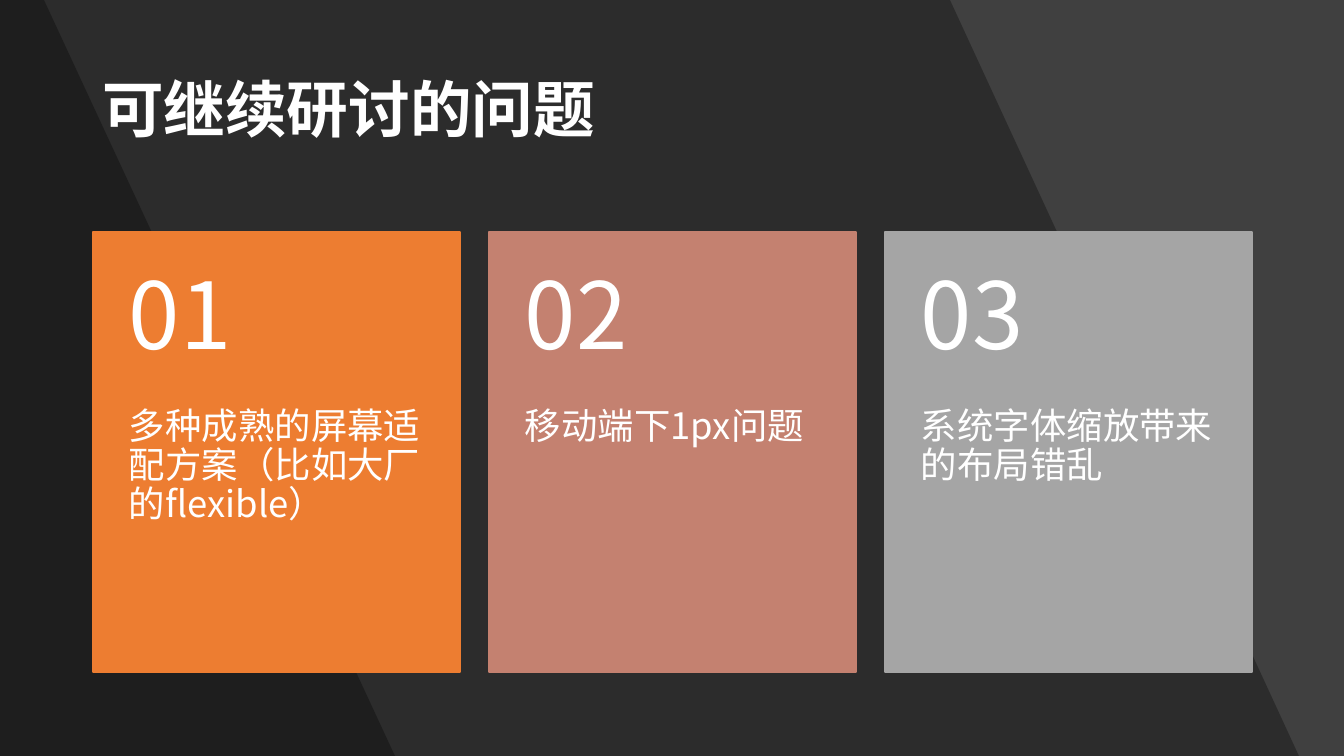
from lxml.etree import SubElement
from pptx import Presentation
from pptx.dml.color import RGBColor as RGB
from pptx.enum.shapes import MSO_SHAPE as Shape
from pptx.enum.text import MSO_ANCHOR as Anchor, MSO_AUTO_SIZE as Fit, PP_ALIGN as Align
from pptx.oxml.ns import qn
from pptx.util import Pt

WHITE = RGB(0xFF, 0xFF, 0xFF)
BLACK = RGB(0, 0, 0)
GREY = RGB(0x40, 0x40, 0x40)
ORANGE = RGB(0xED, 0x7D, 0x31)
ROSE = RGB(0xC4, 0x81, 0x70)
SILVER = RGB(0xA5, 0xA5, 0xA5)
FONT = "Noto Sans CJK SC"

TITLE = "可继续研讨的问题"
CARDS = [
    ("多种成熟的屏幕适配方案（比如大厂的flexible）", ORANGE),
    ("移动端下1px问题", ROSE),
    ("系统字体缩放带来的布局错乱", SILVER),
]
BANDS = [(950, 1299), (44, 395)]  # right edge at top and at bottom

WIDE, HIGH = 1344, 756
LEFT, TOP, STEP = 93, 232, 396
CARD_W, HEAD_H, BODY_H = 367, 176, 264
PAD = 36
SCALE = 12192000 / WIDE


def px(*sizes):
    return [round(size * SCALE) for size in sizes]


def write(shape, text, size, anchor, bold=False):
    frame = shape.text_frame
    frame.word_wrap = True
    frame.auto_size = Fit.NONE
    frame.vertical_anchor = anchor
    para = frame.paragraphs[0]
    para.text = text
    para.alignment = Align.LEFT
    para.line_spacing = 0.9
    font = para.font
    font.size = Pt(size)
    font.bold = bold
    font.color.rgb = WHITE
    font.name = FONT
    props = para._p.pPr.find(qn("a:defRPr"))
    SubElement(props, qn("a:ea")).set("typeface", FONT)


def pad(shape, top, bottom):
    frame = shape.text_frame
    frame.margin_left, frame.margin_right = px(PAD, PAD)
    frame.margin_top, frame.margin_bottom = px(top, bottom)


def add_band(shapes, upper, lower):
    path = shapes.build_freeform(0, 0, SCALE)
    path.add_line_segments([(upper, 0), (lower, HIGH), (0, HIGH)])
    band = path.convert_to_shape()
    band.shadow.inherit = False
    band.fill.solid()
    band.fill.fore_color.rgb = BLACK
    band.line.fill.background()
    color = band.element.spPr.find(qn("a:solidFill"))[0]
    SubElement(color, qn("a:alpha")).set("val", "30000")


def add_card(shapes, index, text, color):
    left = LEFT + index * STEP
    card = shapes.add_shape(Shape.RECTANGLE, *px(left, TOP, CARD_W, HEAD_H + BODY_H))
    card.shadow.inherit = False
    card.fill.solid()
    card.fill.fore_color.rgb = color
    card.line.color.rgb = color
    card.line.width = Pt(1)

    body = shapes.add_textbox(*px(left, TOP + HEAD_H, CARD_W, BODY_H))
    pad(body, 0, PAD)
    write(body, text, 26, Anchor.TOP)

    head = shapes.add_textbox(*px(left, TOP, CARD_W, HEAD_H))
    pad(head, PAD / 2, PAD / 2)
    write(head, f"{index + 1:02}", 66, Anchor.MIDDLE)


def main():
    deck = Presentation()
    deck.slide_width, deck.slide_height = px(WIDE, HIGH)
    slide = deck.slides.add_slide(deck.slide_layouts[5])
    back = slide.background.fill
    back.solid()
    back.fore_color.rgb = GREY

    shapes = slide.shapes
    for upper, lower in BANDS:
        add_band(shapes, upper, lower)

    title = shapes.title
    title.left, title.top, title.width, title.height = px(92, 40, 1160, 146)
    write(title, TITLE, 44, Anchor.MIDDLE, bold=True)
    shapes.element.append(title.element)  # lift the title above the bands

    for index, (text, color) in enumerate(CARDS):
        add_card(shapes, index, text, color)
    deck.save("out.pptx")


if __name__ == "__main__":
    main()
